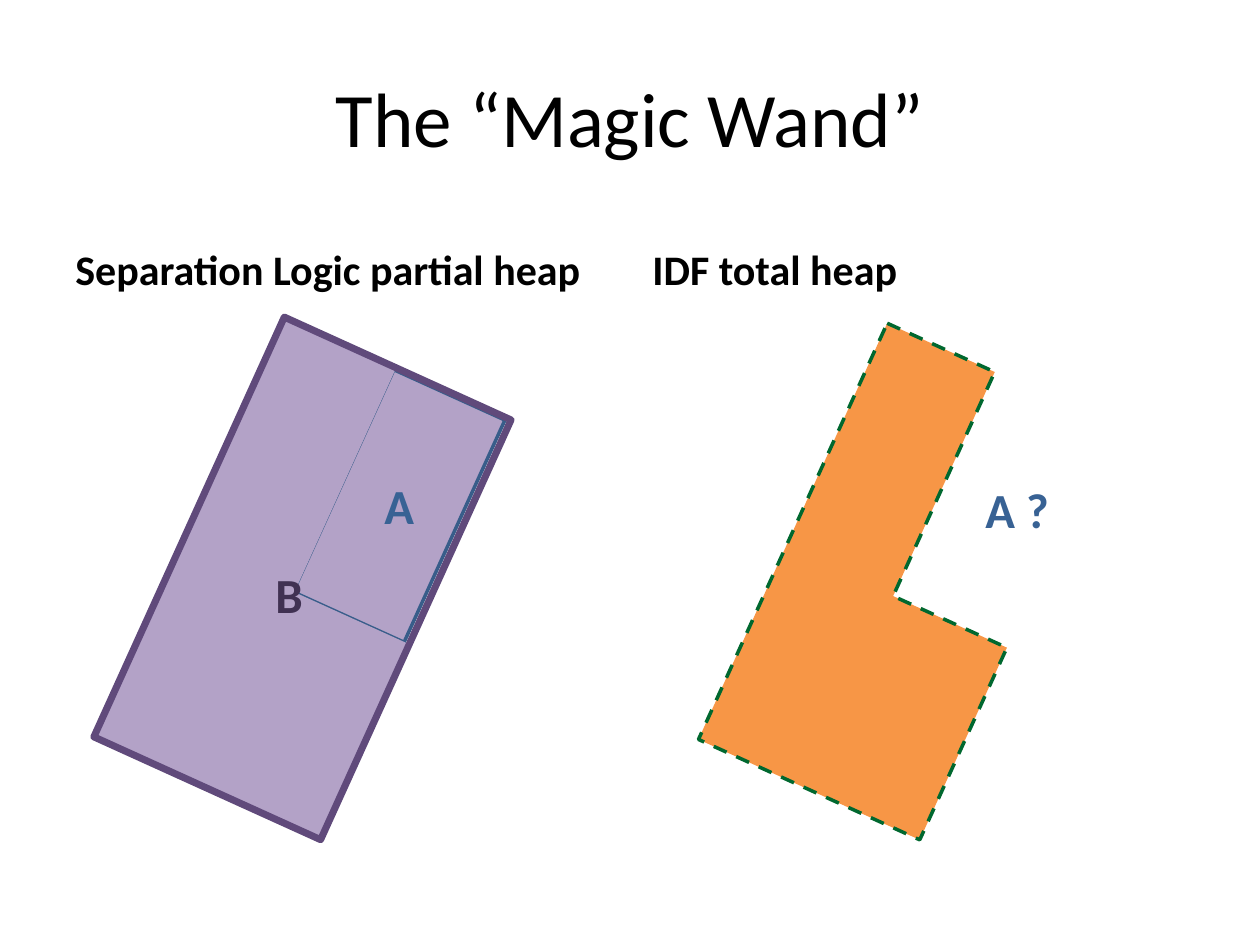
from pptx import Presentation
from pptx.dml.color import RGBColor
from pptx.enum.dml import MSO_LINE
from pptx.enum.shapes import MSO_SHAPE as Kind
from pptx.enum.text import MSO_ANCHOR as Anchor, PP_ALIGN as Align
from pptx.util import Emu, Pt

PX = 914400 / 126
BLACK = RGBColor(0, 0, 0)
LILAC = RGBColor(0xB3, 0xA2, 0xC7)
PURPLE = RGBColor(0x60, 0x4A, 0x7B)
PLUM = RGBColor(0x40, 0x31, 0x52)
NAVY = RGBColor(0x38, 0x5D, 0x8A)
BLUE = RGBColor(0x38, 0x62, 0x94)
ORANGE = RGBColor(0xF7, 0x96, 0x46)
GREEN = RGBColor(0x00, 0x68, 0x2F)

# Content: lengths in pixels
TITLE = "The “Magic Wand”"
HEADS = [("Separation Logic partial heap", 63), ("IDF total heap", 640)]
TILT = 24.4
NOTCH = (0.868, 0.486)
# kind, box, turn, fill, line, width, dashed; back to front
HEAPS = [
    (Kind.RECTANGLE, (277, 445, 244, 122), TILT + 270, LILAC, NAVY, 2, False),
    (Kind.CORNER, (181, 350, 243, 457), TILT, LILAC, LILAC, 2, False),
    (Kind.RECTANGLE, (178, 348, 249, 461), TILT, None, PURPLE, 4, False),
    (Kind.CORNER, (782, 353, 243, 457), TILT, ORANGE, GREEN, 2, True),
]
LABELS = [("A ?", (973, 473, 113, 72), BLUE),
          ("B", (263, 558, 59, 72), PLUM),
          ("A", (372, 469, 59, 72), BLUE)]

deck = Presentation()
deck.slide_width, deck.slide_height = Emu(9144000), Emu(6858000)
slide = deck.slides.add_slide(deck.slide_layouts[6])


def scale(box):
    return [Emu(round(n * PX)) for n in box]


def add_text(text, box, size=28, color=BLACK, bold=True,
             align=Align.LEFT, anchor=Anchor.TOP):
    frame = slide.shapes.add_textbox(*scale(box)).text_frame
    frame.word_wrap = True
    frame.vertical_anchor = anchor
    para = frame.paragraphs[0]
    para.alignment = align
    run = para.add_run()
    run.text = text
    font = run.font
    font.name, font.size, font.bold = "Calibri", Pt(size), bold
    font.color.rgb = color


def add_heap(kind, box, turn, fill, line, width, dashed):
    heap = slide.shapes.add_shape(kind, *scale(box))
    heap.shadow.inherit = False
    heap.rotation = turn
    if kind == Kind.CORNER:
        for i, part in enumerate(NOTCH):
            heap.adjustments[i] = part
    if fill is None:
        heap.fill.background()
    else:
        heap.fill.solid()
        heap.fill.fore_color.rgb = fill
    heap.line.color.rgb = line
    heap.line.width = Pt(width)
    if dashed:
        heap.line.dash_style = MSO_LINE.DASH


# Title and column heads
add_text(TITLE, (63, 38, 1134, 158), size=44, bold=False,
         align=Align.CENTER, anchor=Anchor.MIDDLE)
for text, left in HEADS:
    add_text(text, (left, 212, 557, 88), size=24, anchor=Anchor.BOTTOM)

# Heaps, then their labels
for heap in HEAPS:
    add_heap(*heap)
for text, box, color in LABELS:
    add_text(text, box, color=color)

deck.save("out.pptx")
